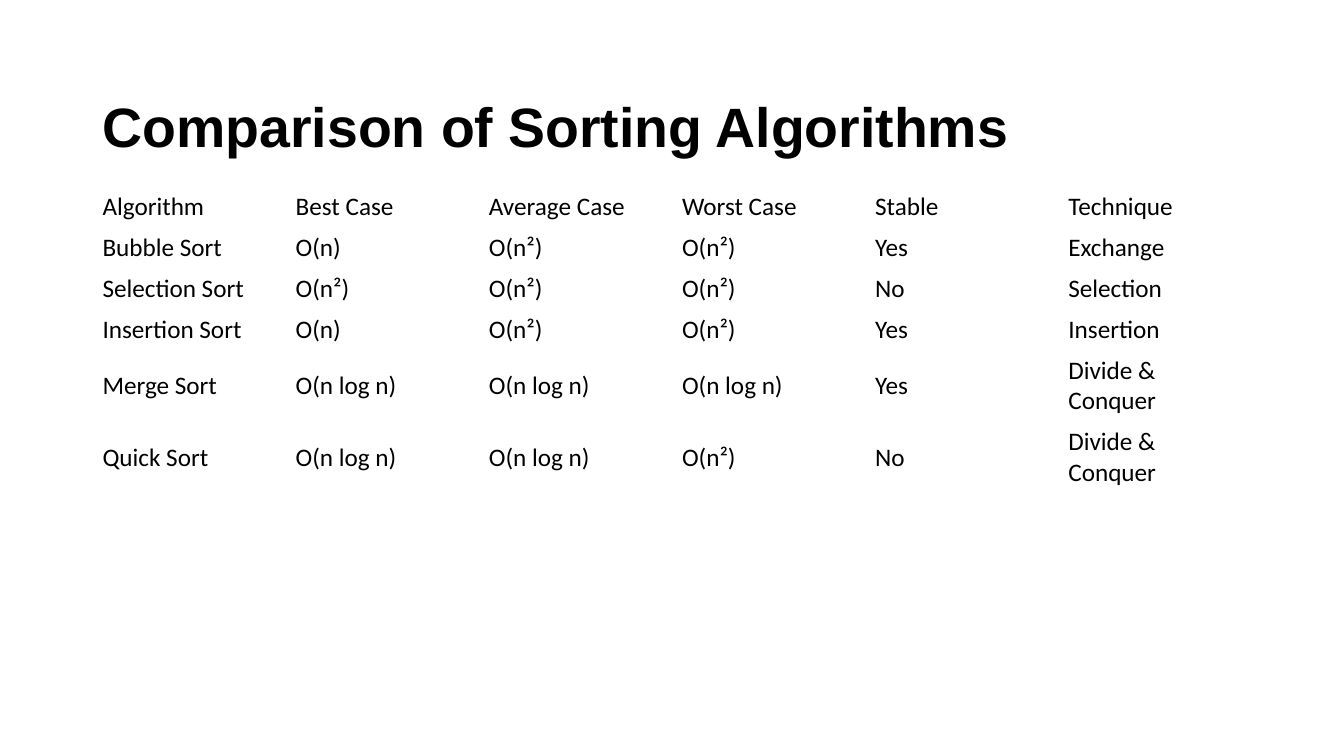
from pptx import Presentation
from pptx import util as u
from pptx.dml.color import RGBColor
from pptx.enum import text

HEADERS = ["Algorithm", "Best Case", "Average Case", "Worst Case", "Stable", "Technique"]
ALGORITHMS = [
    ["Bubble Sort", "O(n)", "O(n²)", "O(n²)", "Yes", "Exchange"],
    ["Selection Sort", "O(n²)", "O(n²)", "O(n²)", "No", "Selection"],
    ["Insertion Sort", "O(n)", "O(n²)", "O(n²)", "Yes", "Insertion"],
    ["Merge Sort", "O(n log n)", "O(n log n)", "O(n log n)", "Yes", "Divide & Conquer"],
    ["Quick Sort", "O(n log n)", "O(n log n)", "O(n²)", "No", "Divide & Conquer"],
]


def color(value):
    return RGBColor.from_string(value)


class ComparisonSlide:
    """Holds the text style and the slide, and adds a title and a table to it."""

    ink = "000000"
    left, width = u.Cm(2.33), u.Cm(29.21)

    def __init__(self, presentation):
        self.slide = presentation.slides.add_slide(presentation.slide_layouts[5])

    def format_runs(self, frame, font_name, size, bold=False):
        for paragraph in frame.paragraphs:
            paragraph.alignment = text.PP_ALIGN.LEFT
            for run in paragraph.runs:
                run.font.name = font_name
                run.font.size = u.Pt(size)
                run.font.bold = bold
                run.font.color.rgb = color(self.ink)

    def title(self, wording, top, height):
        shape = self.slide.shapes.title
        shape.left, shape.width = self.left, self.width
        shape.top, shape.height = u.Cm(top), u.Cm(height)
        frame = shape.text_frame
        frame.text = wording
        frame.word_wrap = True
        frame.auto_size = text.MSO_AUTO_SIZE.NONE
        frame.vertical_anchor = text.MSO_ANCHOR.MIDDLE
        self.format_runs(frame, "Arial", 39.6, bold=True)

    def table(self, rows, top, row_heights):
        shape = self.slide.shapes.add_table(
            len(rows), len(rows[0]), self.left, u.Cm(top), self.width, u.Cm(sum(row_heights))
        )
        table = shape.table
        table.first_row = False
        table.horz_banding = False
        for row, height, wordings in zip(table.rows, row_heights, rows):
            row.height = u.Cm(height)
            for cell, wording in zip(row.cells, wordings):
                cell.text_frame.text = wording
                cell.fill.background()
                cell.vertical_anchor = text.MSO_ANCHOR.MIDDLE
                self.format_runs(cell.text_frame, "Calibri", 18)


def main():
    presentation = Presentation()
    presentation.slide_width = u.Cm(33.87)
    presentation.slide_height = u.Cm(19.05)
    comparison = ComparisonSlide(presentation)
    comparison.title("Comparison of Sorting Algorithms", top=1.31, height=3.68)
    comparison.table([HEADERS] + ALGORITHMS, top=4.7, row_heights=[1.03] * 4 + [1.8] * 2)
    presentation.save("out.pptx")


if __name__ == "__main__":
    main()
